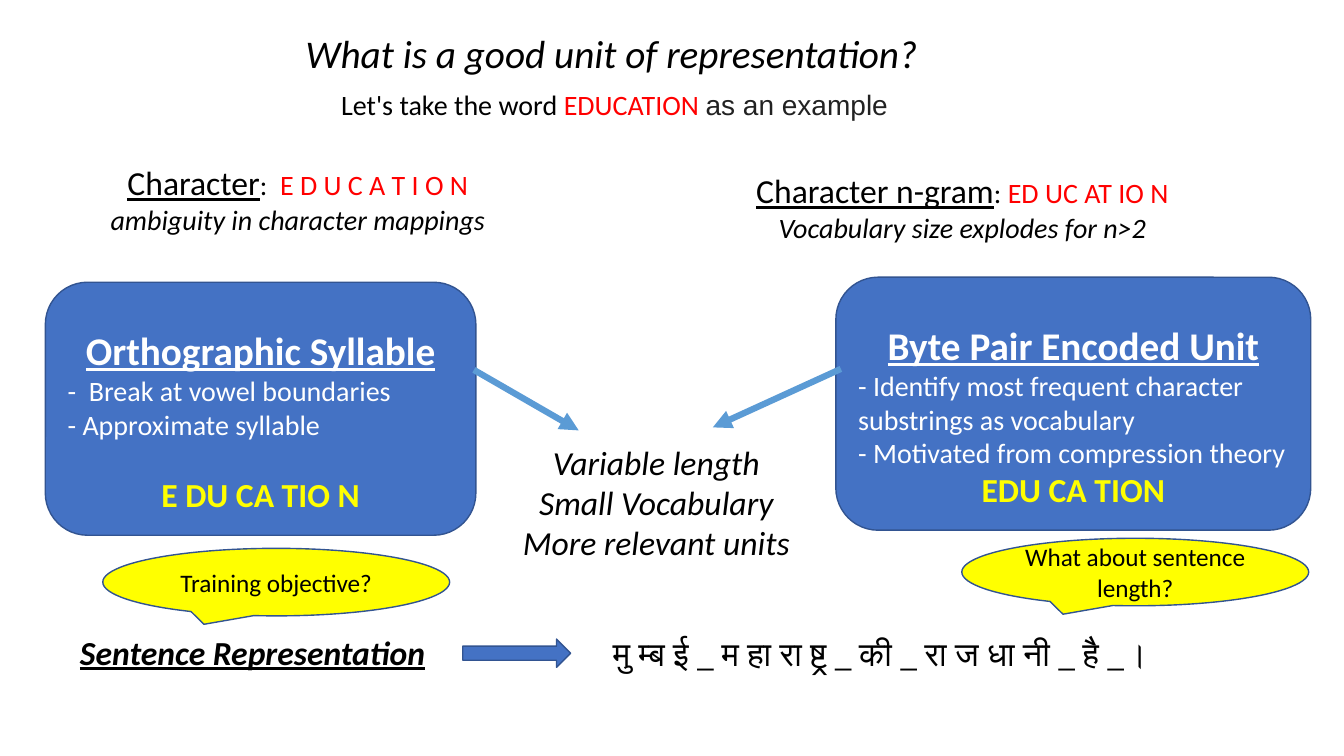
from lxml import etree
from pptx import Presentation
from pptx import util as u
from pptx.dml.color import RGBColor
from pptx.enum import shapes, text
from pptx.oxml.ns import qn

BLACK, WHITE, RED, YELLOW = "000000", "FFFFFF", "FF0000", "FFFF00"
BLUE, OUTLINE, ARROW = "4472C4", "325491", "5B9BD5"
CENTER, LEFT = text.PP_ALIGN.CENTER, text.PP_ALIGN.LEFT

# Content: a paragraph is a list of (words, format) runs
TITLE = [[("What is a good unit of representation?", {"size": 28, "italic": True})]]
EXAMPLE = [[("Let's take the word ", {}), ("EDUCATION ", {"color": RED}),
            ("as an example", {"font": "Arial", "color": "222222"})]]
UNITS = [  # place, name, separator, split word, drawback
    ((0.99, 1.56, 3.93, 0.84), "Character", ":  ", "E D U C A T I O N",
     "ambiguity in character mappings"),
    ((7.19, 1.64, 4.71, 0.84), "Character n-gram", ": ", "ED UC AT IO N",
     "Vocabulary size explodes for n>2"),
]
CARDS = [  # place, heading, points, split word, gap above the split word
    ((0.45, 2.8, 4.27, 2.51), "Orthographic Syllable",
     ["-  Break at vowel boundaries", "- Approximate syllable"],
     "E DU CA TIO N", 24),
    ((8.29, 2.75, 4.71, 2.51), "Byte Pair Encoded Unit",
     ["- Identify most frequent character substrings as vocabulary",
      "- Motivated from compression theory"],
     "EDU CA TION", 0),
]
BENEFITS = ["Variable length", "Small Vocabulary", "More relevant units"]
ARROWS = [((4.7, 3.67), (5.74, 4.27)), ((8.34, 3.66), (7.07, 4.24))]
CALLOUTS = [((9.54, 5.34), "What about sentence length?"),
            ((1.02, 5.44), "Training objective?")]
SENTENCE = "मु म्ब ई _ म हा रा ष्ट्र _ की _ रा ज धा नी _ है _।"


def rgb(color):
    return RGBColor.from_string(color)


def inches(values):
    return [u.Inches(value) for value in values]


def write(box, paragraphs, align=CENTER, **base):
    """Fill a box with paragraphs; run formats override the base format."""
    frame = box.text_frame
    frame.word_wrap = True
    for index, runs in enumerate(paragraphs):
        para = frame.paragraphs[0] if index == 0 else frame.add_paragraph()
        para.alignment = align
        for words, own in runs:
            style = {"size": 20, "font": "Calibri", "color": BLACK, **base, **own}
            span = para.add_run()
            span.text = words
            span.font.size = u.Pt(style["size"])
            span.font.name = style["font"]
            span.font.color.rgb = rgb(style["color"])
            span.font.bold = style.get("bold", False)
            span.font.italic = style.get("italic", False)
            span.font.underline = style.get("underline", False)
    return frame


def add_text(place, paragraphs, **style):
    box = page.shapes.add_textbox(*inches(place))
    write(box, paragraphs, **style).auto_size = text.MSO_AUTO_SIZE.SHAPE_TO_FIT_TEXT


def add_box(kind, place, fill):
    box = page.shapes.add_shape(kind, *inches(place))
    box.shadow.inherit = False
    box.fill.solid()
    box.fill.fore_color.rgb = rgb(fill)
    box.line.color.rgb = rgb(OUTLINE)
    box.line.width = u.Pt(1)
    box.text_frame.vertical_anchor = text.MSO_ANCHOR.MIDDLE
    return box


deck = Presentation()
deck.slide_width, deck.slide_height = inches((13.33, 7.5))
page = deck.slides.add_slide(deck.slide_layouts[5])

# Title and example word
title = page.shapes.title
title.left, title.top, title.width, title.height = inches((0.56, 0.24, 11.01, 0.57))
frame = write(title, TITLE)
frame.vertical_anchor = text.MSO_ANCHOR.TOP
frame.auto_size = text.MSO_AUTO_SIZE.NONE
add_text((2.47, 0.82, 7.25, 0.44), EXAMPLE)

# Simple units
for place, name, separator, split, drawback in UNITS:
    add_text(place, [
        [(name, {"size": 24, "underline": True}), (separator, {}), (split, {"color": RED})],
        [(drawback, {"italic": True})],
    ])

# Subword cards
for place, heading, points, split, gap in CARDS:
    card = add_box(shapes.MSO_SHAPE.ROUNDED_RECTANGLE, place, BLUE)
    frame = write(card, [
        [(heading, {"size": 28, "bold": True, "underline": True})],
        *[[(point, {})] for point in points],
        [(split, {"size": 24, "bold": True, "color": YELLOW})],
    ], align=LEFT, color=WHITE)
    first, last = frame.paragraphs[0], frame.paragraphs[-1]
    first.alignment = last.alignment = CENTER
    first.line_spacing = 1.5
    last.space_before = u.Pt(gap)

# Shared benefits and the arrows leading to them
add_text((5.01, 4.33, 3, 1.31), [[(line, {})] for line in BENEFITS], size=24, italic=True)
for start, end in ARROWS:
    arrow = page.shapes.add_connector(shapes.MSO_CONNECTOR.STRAIGHT, *inches(start + end))
    arrow.line.color.rgb = rgb(ARROW)
    arrow.line.width = u.Pt(4.5)
    etree.SubElement(arrow.line._get_or_add_ln(), qn("a:tailEnd"), type="triangle")
    etree.SubElement(arrow._element.spPr, qn("a:effectLst"))

# Sentence representation
add_text((5.98, 6.23, 6.33, 0.5), [[(SENTENCE, {})]], align=LEFT, size=24)
add_text((0.15, 6.22, 4.71, 0.5), [[("Sentence Representation", {})]],
         size=24, bold=True, italic=True, underline=True)
add_box(shapes.MSO_SHAPE.RIGHT_ARROW, (4.59, 6.34, 1.07, 0.28), BLUE)

# Open questions
for corner, question in CALLOUTS:
    callout = add_box(shapes.MSO_SHAPE.OVAL_CALLOUT, corner + (3.44, 0.67), YELLOW)
    write(callout, [[(question, {})]], size=18)

deck.save("out.pptx")
